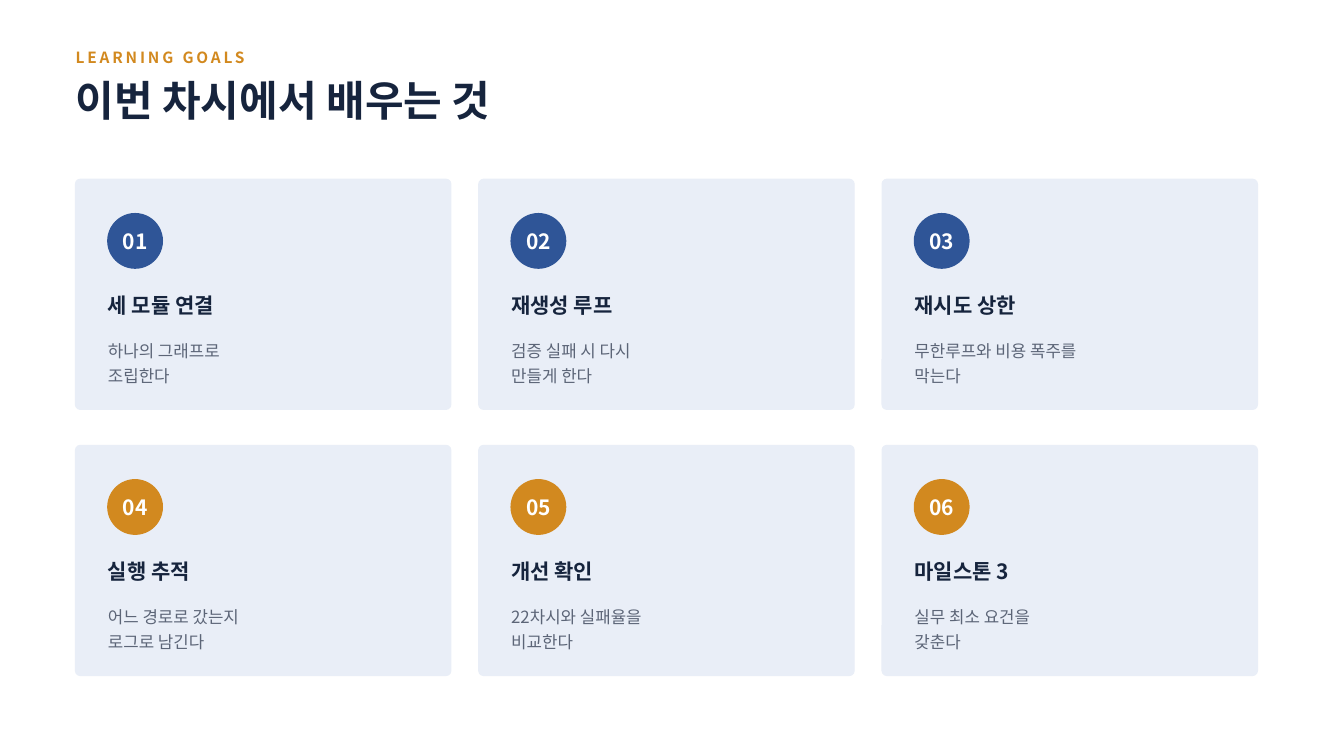
from dataclasses import dataclass

from lxml import etree
from pptx import Presentation
from pptx.dml.color import RGBColor
from pptx.enum.shapes import MSO_SHAPE
from pptx.enum.text import MSO_ANCHOR, PP_ALIGN
from pptx.oxml.ns import qn
from pptx.util import Inches, Pt


@dataclass(frozen=True)
class Theme:
    font: str = "Noto Sans CJK KR"
    white: str = "FFFFFF"
    ink: str = "16243D"
    muted: str = "5C6577"
    card: str = "E9EEF7"
    blue: str = "2F5597"
    amber: str = "D2891F"
    eyebrow_size: int = 11
    title_size: int = 30
    heading_size: int = 15
    body_size: int = 12
    body_leading: int = 18


class SlideBuilder:
    def __init__(self, slide, theme):
        self.slide = slide
        self.theme = theme

    def background(self, color):
        fill = self.slide.background.fill
        fill.solid()
        fill.fore_color.rgb = RGBColor.from_string(color)

    def shape(self, kind, left, top, width, height, color):
        shape = self.slide.shapes.add_shape(
            kind, Inches(left), Inches(top), Inches(width), Inches(height))
        shape.shadow.inherit = False
        shape.fill.solid()
        shape.fill.fore_color.rgb = RGBColor.from_string(color)
        shape.line.color.rgb = RGBColor.from_string(color)
        shape.line.width = Pt(1)
        return shape

    def text(self, left, top, width, height, lines, size, color, **style):
        box = self.slide.shapes.add_textbox(
            Inches(left), Inches(top), Inches(width), Inches(height))
        self.set_lines(box.text_frame, lines, size, color, **style)

    def set_lines(self, frame, lines, size, color, bold=True,
                  align=PP_ALIGN.LEFT, anchor=MSO_ANCHOR.MIDDLE,
                  leading=None, tracking=None):
        frame.word_wrap = True
        frame.vertical_anchor = anchor
        frame.margin_left = frame.margin_right = 0
        frame.margin_top = frame.margin_bottom = 0
        for index, line in enumerate(lines):
            paragraph = frame.add_paragraph() if index else frame.paragraphs[0]
            paragraph.alignment = align
            if leading:
                paragraph.line_spacing = Pt(leading)
            run = paragraph.add_run()
            run.text = line
            run.font.size = Pt(size)
            run.font.bold = bold
            run.font.color.rgb = RGBColor.from_string(color)
            run.font.name = self.theme.font
            properties = run._r.get_or_add_rPr()
            etree.SubElement(properties, qn("a:ea"), typeface=self.theme.font)
            if tracking:
                properties.set("spc", str(tracking * 100))

    def badge(self, left, top, diameter, label, color):
        circle = self.shape(MSO_SHAPE.OVAL, left, top, diameter, diameter, color)
        self.set_lines(circle.text_frame, [label], self.theme.heading_size,
                       self.theme.white, align=PP_ALIGN.CENTER)

    def goal_card(self, left, top, number, heading, lines, accent):
        theme = self.theme
        card = self.shape(MSO_SHAPE.ROUNDED_RECTANGLE, left, top,
                          CARD_WIDTH, CARD_HEIGHT, theme.card)
        card.adjustments[0] = 0.02
        inner = left + CARD_PADDING
        self.badge(inner, top + 0.34, 0.54, f"{number:02d}", accent)
        self.text(inner, top + 1.08, TEXT_WIDTH, 0.34, [heading],
                  theme.heading_size, theme.ink)
        self.text(inner, top + 1.5, TEXT_WIDTH, 0.6, lines, theme.body_size,
                  theme.muted, bold=False, leading=theme.body_leading)


MARGIN = 0.75
CARD_WIDTH, CARD_HEIGHT = 3.72, 2.28
CARD_PADDING = 0.32
TEXT_WIDTH = 3.12
COLUMNS = 3
COLUMN_STEP, ROW_STEP = 4, 2.64
GRID_TOP = 1.78

GOALS = [
    ("세 모듈 연결", ["하나의 그래프로", "조립한다"]),
    ("재생성 루프", ["검증 실패 시 다시", "만들게 한다"]),
    ("재시도 상한", ["무한루프와 비용 폭주를", "막는다"]),
    ("실행 추적", ["어느 경로로 갔는지", "로그로 남긴다"]),
    ("개선 확인", ["22차시와 실패율을", "비교한다"]),
    ("마일스톤 3", ["실무 최소 요건을", "갖춘다"]),
]

presentation = Presentation()
presentation.slide_width = Inches(13.33)
presentation.slide_height = Inches(7.5)
theme = Theme()
builder = SlideBuilder(
    presentation.slides.add_slide(presentation.slide_layouts[6]), theme)

builder.background(theme.white)
builder.text(MARGIN, 0.42, 8, 0.3, ["LEARNING GOALS"], theme.eyebrow_size,
             theme.amber, tracking=2)
builder.text(MARGIN, 0.74, 11.83, 0.62, ["이번 차시에서 배우는 것"],
             theme.title_size, theme.ink, anchor=MSO_ANCHOR.TOP)

row_accents = [theme.blue, theme.amber]
for index, (heading, lines) in enumerate(GOALS):
    row, column = divmod(index, COLUMNS)
    builder.goal_card(MARGIN + column * COLUMN_STEP, GRID_TOP + row * ROW_STEP,
                      index + 1, heading, lines, row_accents[row])

presentation.save("out.pptx")
